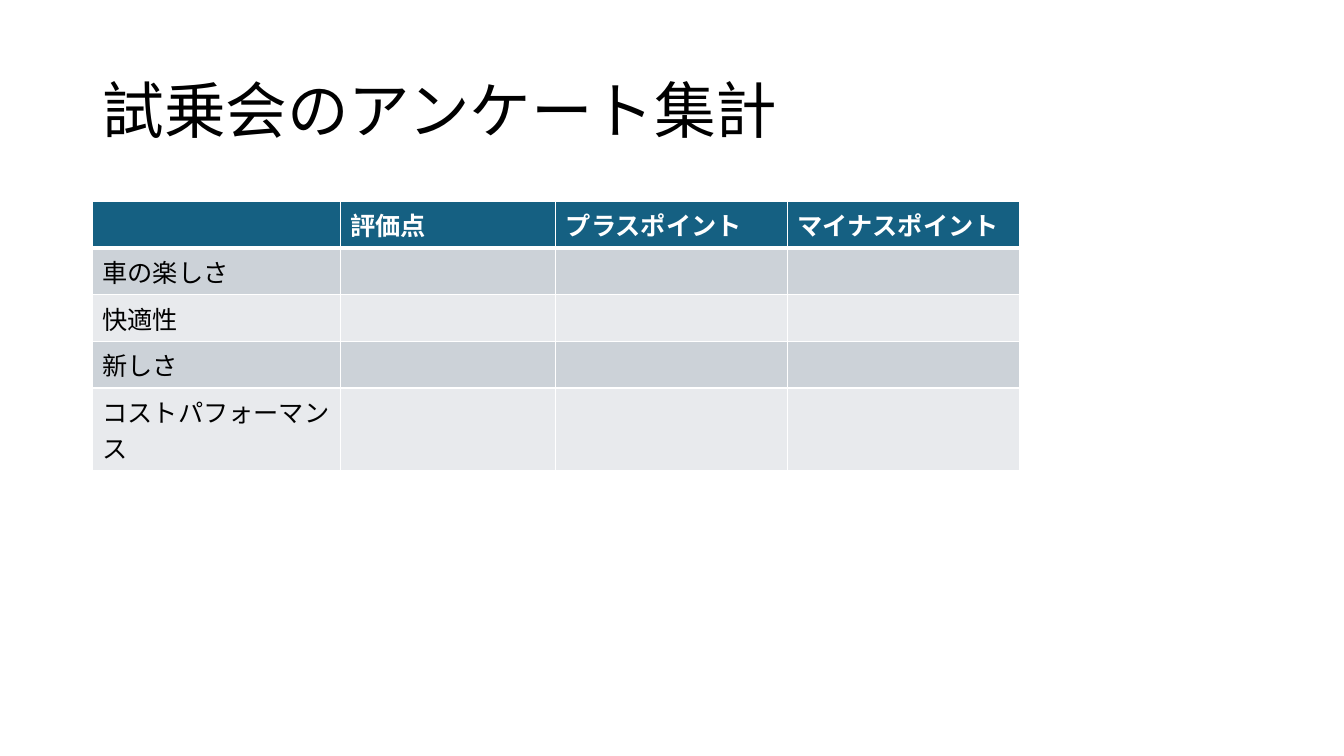
from typing import NamedTuple

from lxml.etree import SubElement
from pptx import Presentation
from pptx.dml.color import RGBColor
from pptx.enum.text import MSO_ANCHOR as Anchor, MSO_AUTO_SIZE as Fit, PP_ALIGN as Align
from pptx.oxml.ns import qn
from pptx.table import _Cell as Cell
from pptx.util import Pt

WHITE, BLACK = "FFFFFF", "000000"
HEAD, BANDS = "156082", ("CCD2D8", "E8EAED")
LEFT = 66


class Row(NamedTuple):
    texts: tuple[str, ...]
    fill: str
    color: str = BLACK
    bold: bool = False
    top: float = 1
    base: float = 1


def paint(part, color: str) -> None:
    """Give a fill or a font a plain colour."""
    if hasattr(part, "solid"):
        part.solid()
        part.fore_color.rgb = RGBColor.from_string(color)
    else:
        part.color.rgb = RGBColor.from_string(color)


def style(item, form: dict) -> None:
    for key, value in form.items():
        setattr(item, key, value)


def edge(cell: Cell, side: str, width: float) -> None:
    line = SubElement(cell._tc.get_or_add_tcPr(), qn(f"a:ln{side}"), w=str(Pt(width)))
    fill = SubElement(line, qn("a:solidFill"))
    SubElement(fill, qn("a:srgbClr"), val=WHITE)


def draw(cell: Cell, text: str, row: Row) -> None:
    # Borders come before the fill in the cell's XML
    for side, width in zip("LRTB", (1, 1, row.top, row.base)):
        edge(cell, side, width)
    paint(cell.fill, row.fill)
    cell.text = text
    font = cell.text_frame.paragraphs[0].font
    style(font, {"name": "Karla", "size": Pt(18), "bold": row.bold})
    paint(font, row.color)


def main() -> None:
    deck = Presentation()
    style(deck, {"slide_width": Pt(960), "slide_height": Pt(540)})
    slide = deck.slides.add_slide(deck.slide_layouts[5])

    # Title
    title = slide.shapes.title
    style(title, {"left": Pt(LEFT), "top": Pt(28.75),
                  "width": Pt(828), "height": Pt(104.4)})
    frame = title.text_frame
    frame.text = "試乗会のアンケート集計"
    style(frame, {"vertical_anchor": Anchor.MIDDLE, "auto_size": Fit.NONE,
                  "word_wrap": True})
    para = frame.paragraphs[0]
    style(para, {"alignment": Align.LEFT, "line_spacing": 0.9})
    style(para.font, {"name": "Karla", "size": Pt(44)})
    paint(para.font, BLACK)

    # Survey table: a header row, then banded topics
    topics = ("車の楽しさ", "快適性", "新しさ", "コストパフォーマンス")
    rows = [Row(("", "評価点", "プラスポイント", "マイナスポイント"),
                HEAD, WHITE, True, base=3)]
    rows += [Row((topic, "", "", ""), BANDS[i % 2], top=1 if i else 3)
             for i, topic in enumerate(topics)]
    widths = (177, 154, 165.6, 165.6)
    high = 29.2
    table = slide.shapes.add_table(
        len(rows), len(widths), Pt(LEFT), Pt(144),
        Pt(sum(widths)), Pt(high * len(rows))).table
    for col, width in zip(table.columns, widths):
        col.width = Pt(width)
    for line, row in zip(table.rows, rows):
        line.height = Pt(high)
        for cell, text in zip(line.cells, row.texts):
            draw(cell, text, row)

    deck.save("out.pptx")


if __name__ == "__main__":
    main()
